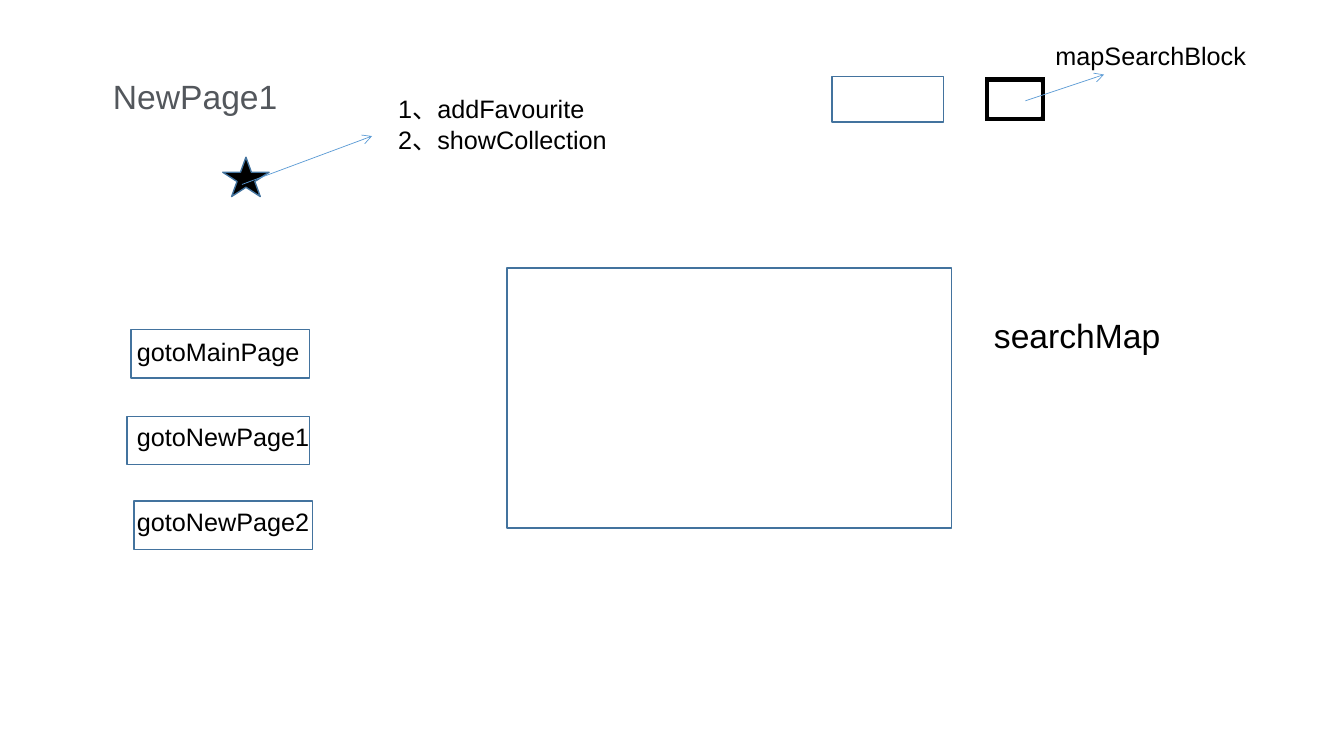
"""Build the NewPage1 wireframe slide with its labelled controls."""
from pptx import Presentation
from pptx.dml.color import RGBColor
from pptx.enum.shapes import MSO_CONNECTOR, MSO_SHAPE
from pptx.enum.text import MSO_ANCHOR, MSO_AUTO_SIZE, PP_ALIGN
from pptx.oxml.ns import qn
from pptx.util import Inches, Pt
from lxml.etree import SubElement


def paint(target, color):
    """Give a fill or line a solid hex colour."""
    target.fill.solid()
    target.fill.fore_color.rgb = RGBColor.from_string(color)


def write(box, lines, size, color, wrap):
    """Write one paragraph per line with the slide's text format."""
    frame = box.text_frame
    frame_format = {"word_wrap": wrap, "auto_size": MSO_AUTO_SIZE.NONE,
                    "vertical_anchor": MSO_ANCHOR.TOP}
    for name, value in frame_format.items():
        setattr(frame, name, value)
    frame.text = "\n".join(lines)
    for para in frame.paragraphs:
        para.alignment = PP_ALIGN.LEFT
        para.line_spacing = 1.0
        para.space_before = Pt(0)
        for span in para.runs:
            for name, value in {"name": "Arial", "size": Pt(size)}.items():
                setattr(span.font, name, value)
            paint(span.font, color)


deck = Presentation()
deck.slide_width, deck.slide_height = Inches(13.33), Inches(7.5)
page = deck.slides.add_slide(deck.slide_layouts[5])

title = page.shapes.title
title_place = {"left": 1.02, "top": 0.7, "width": 1.9, "height": 0.5}
for name, value in title_place.items():
    setattr(title, name, Inches(value))
write(title, ["NewPage1"], 24, "53575C", True)

shapes = [
    (MSO_SHAPE.RECTANGLE, (5.03, 2.66, 4.41, 2.58), "FFFFFF", "43739E"),
    (MSO_SHAPE.RECTANGLE, (8.25, 0.76, 1.11, 0.45), "FFFFFF", "43739E"),
    (MSO_SHAPE.FRAME, (9.76, 0.76, 0.61, 0.45), "000000", "FFFFFF"),
    (MSO_SHAPE.STAR_5_POINT, (2.21, 1.56, 0.46, 0.39), "000000", "43739E"),
    (MSO_SHAPE.RECTANGLE, (1.3, 3.27, 1.77, 0.48), None, "43739E"),
    (MSO_SHAPE.RECTANGLE, (1.26, 4.13, 1.81, 0.48), None, "43739E"),
    (MSO_SHAPE.RECTANGLE, (1.33, 4.97, 1.77, 0.48), None, "43739E"),
]
for kind, place, fill, outline in shapes:
    shape = page.shapes.add_shape(kind, *map(Inches, place))
    shape.shadow.inherit = False
    if fill:
        paint(shape, fill)
    else:
        shape.fill.background()
    paint(shape.line, outline)
    shape.line.width = Pt(1)

arrows = [(10.17, 1, 10.95, 0.74), (2.4, 1.83, 3.69, 1.35)]
for ends in arrows:
    arrow = page.shapes.add_connector(MSO_CONNECTOR.STRAIGHT, *map(Inches, ends))
    paint(arrow.line, "5B9BD5")
    arrow.line.width = Pt(0.5)
    SubElement(arrow.line._get_or_add_ln(), qn("a:tailEnd"), type="arrow")
    SubElement(arrow._element.spPr, qn("a:effectLst"))

labels = [
    (["searchMap"], (9.76, 3.08, 2.81, 0.5), 24, True),
    (["mapSearchBlock"], (10.37, 0.35, 2.09, 0.4), 18, False),
    (["1、addFavourite", "2、showCollection"], (3.85, 0.88, 2.27, 0.71), 18, True),
]
for row, target in enumerate(["MainPage", "NewPage1", "NewPage2"]):
    labels.append(([f"goto{target}"], (1.26, 3.29 + 0.84 * row, 1.91, 0.4), 18, False))
for lines, place, size, wrap in labels:
    box = page.shapes.add_textbox(*map(Inches, place))
    write(box, lines, size, "000000", wrap)

deck.save("out.pptx")
